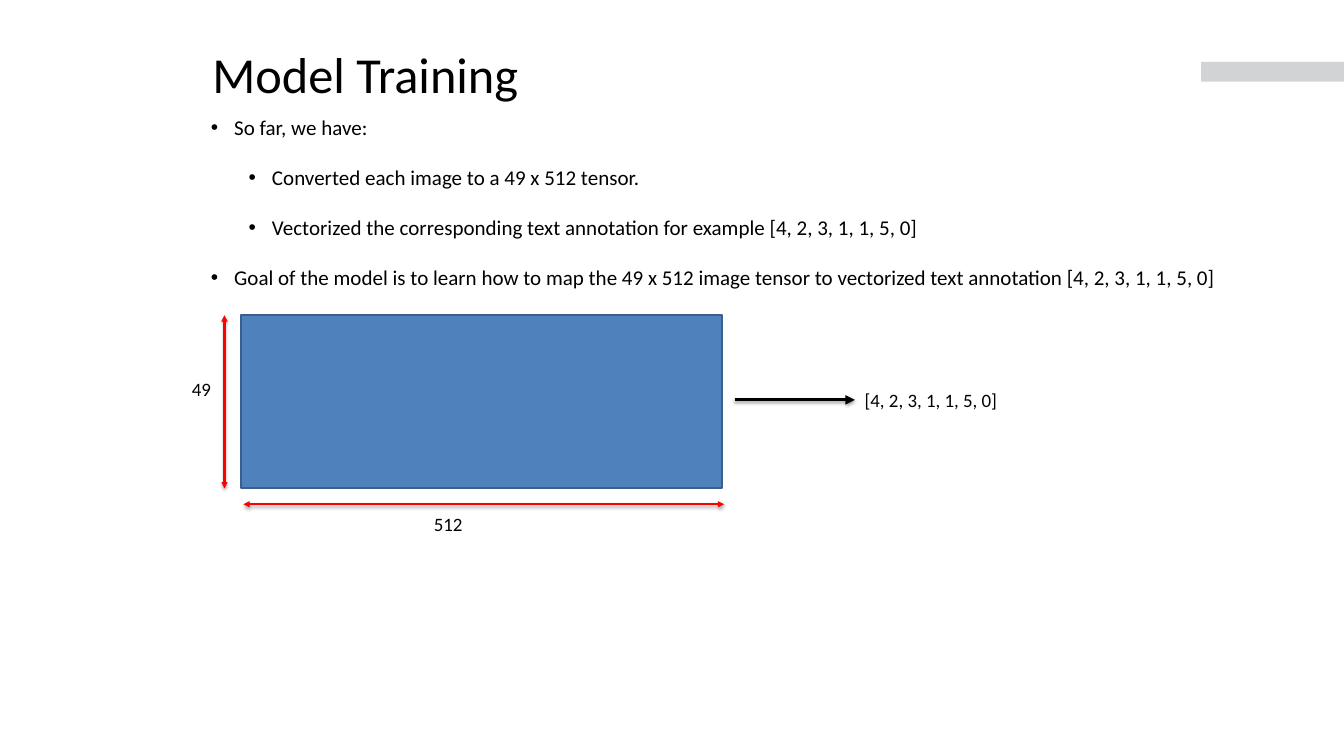
from dataclasses import dataclass

from lxml.etree import SubElement
from pptx import Presentation
from pptx.dml.color import RGBColor
from pptx.enum.shapes import MSO_CONNECTOR, MSO_SHAPE
from pptx.enum.text import MSO_ANCHOR, MSO_AUTO_SIZE, PP_ALIGN
from pptx.oxml.ns import qn
from pptx.util import Inches, Pt

COLORS = {
    "text": "000000",
    "bar": "D1D3D4",
    "tensor": "4F81BD",
    "tensor_edge": "3A5F8C",
    "dimension": "FF0000",
    "mapping": "000000",
}
FONT = "Calibri"
VECTOR = "[4, 2, 3, 1, 1, 5, 0]"


@dataclass
class Bullet:
    text: str
    level: int = 0


@dataclass
class Arrow:
    start: tuple[float, float]
    end: tuple[float, float]
    color: str
    width: float
    double: bool = False
    shadow_opacity: int = 38
    shadow_distance: float = 1.6


@dataclass
class Label:
    text: str
    left: float
    top: float
    width: float
    wrap: bool = True


def rgb(name: str) -> RGBColor:
    return RGBColor.from_string(COLORS[name])


def write(para, text: str, *, size: float, color: str = "text") -> None:
    """Add one formatted span to a paragraph."""
    span = para.add_run()
    span.text = text
    span.font.name = FONT
    span.font.size = Pt(size)
    span.font.color.rgb = rgb(color)


def add_rectangle(page, left: float, top: float, width: float, height: float,
                  *, fill: str, edge: str | None = None) -> None:
    box = page.shapes.add_shape(MSO_SHAPE.RECTANGLE, Inches(left), Inches(top),
                                Inches(width), Inches(height))
    box.shadow.inherit = False
    box.fill.solid()
    box.fill.fore_color.rgb = rgb(fill)
    if edge:
        box.line.color.rgb = rgb(edge)
        box.line.width = Pt(2)
    else:
        box.line.fill.background()


def add_bullets(page, bullets: list[Bullet]) -> None:
    box = page.shapes.add_textbox(Inches(2.69), Inches(1.47), Inches(14.07), Inches(2.46))
    frame = box.text_frame
    frame.word_wrap = True
    for index, bullet in enumerate(bullets):
        para = frame.add_paragraph() if index else frame.paragraphs[0]
        para.level = bullet.level
        if index:
            para.space_before = Pt(23.5)
        properties = para._p.get_or_add_pPr()
        properties.set("marL", str(Inches(0.31 + 0.5 * bullet.level)))
        properties.set("indent", str(Inches(-0.31)))
        SubElement(properties, qn("a:buFont"), typeface="Arial")
        SubElement(properties, qn("a:buChar"), char="•")
        write(para, bullet.text, size=20)


def add_arrow(page, arrow: Arrow) -> None:
    points = [Inches(value) for value in (*arrow.start, *arrow.end)]
    connector = page.shapes.add_connector(MSO_CONNECTOR.STRAIGHT, *points)
    connector.line.color.rgb = rgb(arrow.color)
    connector.line.width = Pt(arrow.width)
    line = connector.line._get_or_add_ln()
    if arrow.double:
        SubElement(line, qn("a:headEnd"), type="triangle")
    SubElement(line, qn("a:tailEnd"), type="triangle")

    # Soft shadow straight below the line
    effects = SubElement(connector._element.spPr, qn("a:effectLst"))
    shadow = SubElement(effects, qn("a:outerShdw"), blurRad=str(Pt(3.1)),
                        dist=str(Pt(arrow.shadow_distance)), dir=str(90 * 60000),
                        rotWithShape="0")
    shade = SubElement(shadow, qn("a:srgbClr"), val="000000")
    SubElement(shade, qn("a:alpha"), val=str(arrow.shadow_opacity * 1000))


def add_label(page, label: Label) -> None:
    box = page.shapes.add_textbox(Inches(label.left), Inches(label.top),
                                  Inches(label.width), Inches(0.4))
    box.text_frame.word_wrap = label.wrap
    write(box.text_frame.paragraphs[0], label.text, size=18)


def add_title(page, text: str) -> None:
    title = page.shapes.title
    title.left, title.top = Inches(2.81), Inches(0.57)
    title.width, title.height = Inches(13.08), Inches(0.53)
    frame = title.text_frame
    frame.margin_left = frame.margin_right = frame.margin_top = frame.margin_bottom = 0
    frame.vertical_anchor = MSO_ANCHOR.TOP
    frame.auto_size = MSO_AUTO_SIZE.NONE
    para = frame.paragraphs[0]
    para.alignment = PP_ALIGN.LEFT
    write(para, text, size=48)


def main() -> None:
    deck = Presentation()
    deck.slide_width, deck.slide_height = Inches(17.78), Inches(10)
    page = deck.slides.add_slide(deck.slide_layouts[5])

    # Header
    add_rectangle(page, 15.89, 0.82, 1.89, 0.26, fill="bar")
    add_title(page, "Model Training")

    # Progress and goal
    add_bullets(page, [
        Bullet("So far, we have:"),
        Bullet("Converted each image to a 49 x 512 tensor.", 1),
        Bullet(f"Vectorized the corresponding text annotation for example {VECTOR}", 1),
        Bullet("Goal of the model is to learn how to map the 49 x 512 image tensor "
               f"to vectorized text annotation {VECTOR}"),
    ])

    # Image tensor, its dimensions and the mapping to the vector
    add_rectangle(page, 3.19, 4.17, 6.36, 2.29, fill="tensor", edge="tensor_edge")
    for arrow in (
        Arrow((2.97, 4.17), (2.97, 6.46), "dimension", 2, double=True),
        Arrow((3.22, 6.67), (9.58, 6.67), "dimension", 2, double=True),
        Arrow((9.72, 5.29), (11.31, 5.29), "mapping", 3,
              shadow_opacity=35, shadow_distance=1.8),
    ):
        add_arrow(page, arrow)
    for label in (
        Label("49", 2.44, 4.94, 1.25),
        Label("512", 5.64, 6.73, 1.25),
        Label(VECTOR, 11.34, 5.09, 1.98, wrap=False),
    ):
        add_label(page, label)

    deck.save("out.pptx")


if __name__ == "__main__":
    main()
